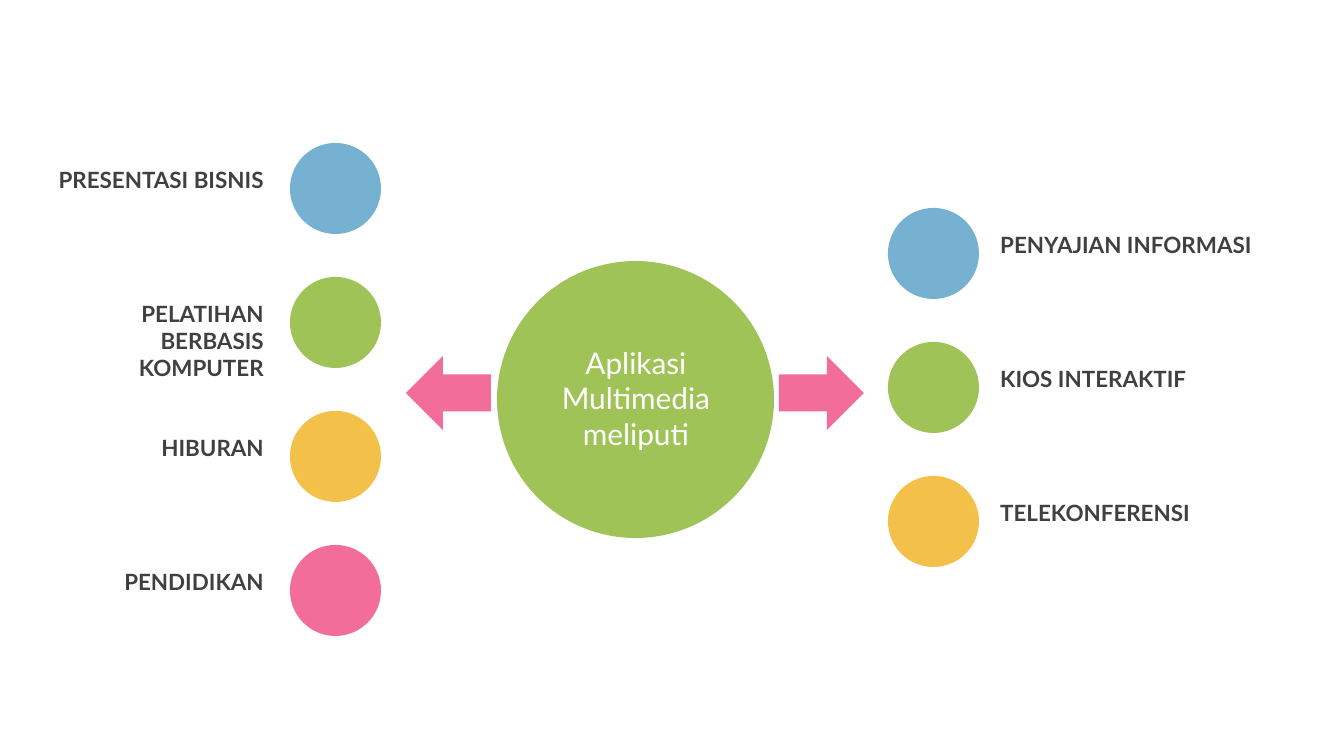
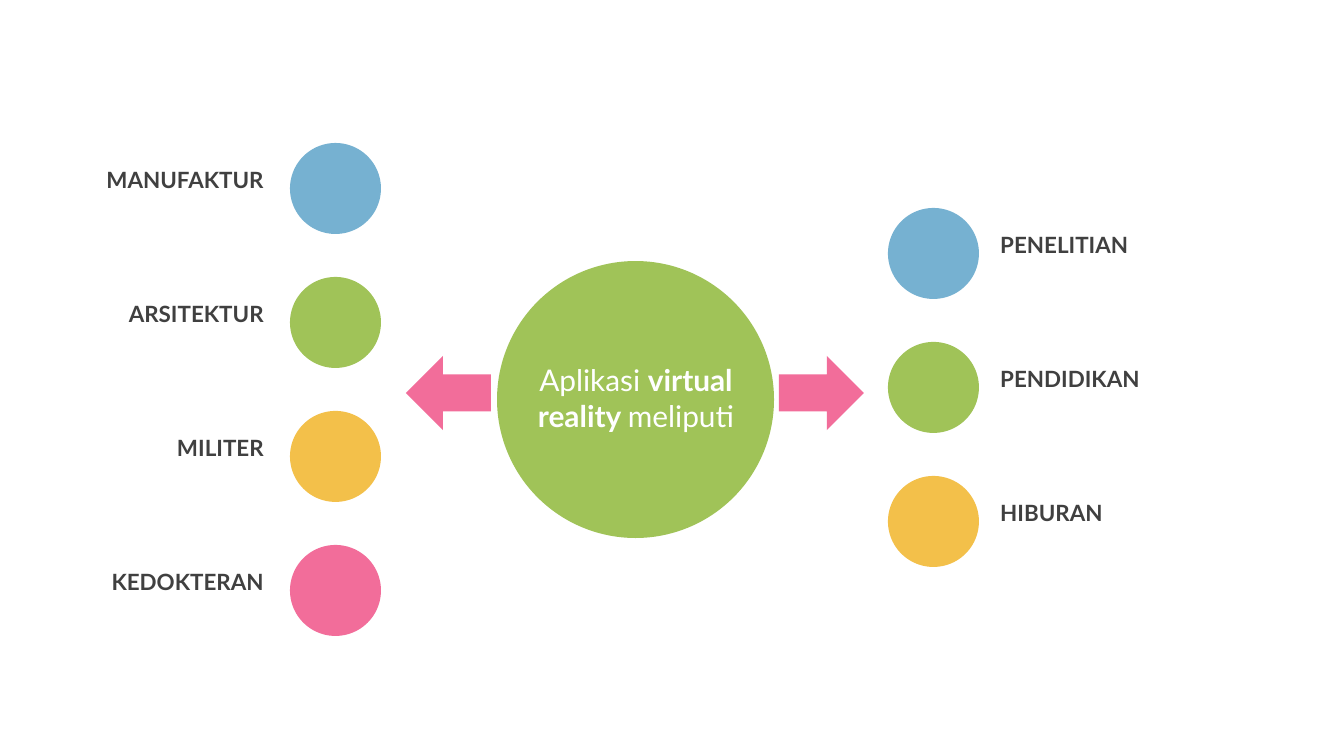
from pptx import Presentation
from pptx import util as u
from pptx.dml.color import RGBColor
from pptx.enum import shapes, text

SCALE = 914400 / 134.4
FONT = "Lato"
WHITE = RGBColor(0xFF, 0xFF, 0xFF)
GRAY = RGBColor(0x40, 0x40, 0x40)
BLUE = RGBColor(0x76, 0xB1, 0xD1)
GREEN = RGBColor(0xA0, 0xC3, 0x58)
YELLOW = RGBColor(0xF3, 0xC0, 0x4A)
PINK = RGBColor(0xF2, 0x6D, 0x9A)
BULLET_COLORS = (BLUE, GREEN, YELLOW, PINK)

HUB = (497, 261, 277, 277)
LEFT_ARROW = (406, 356, 85, 74)
RIGHT_ARROW = (779, 356, 85, 74)
LEFT_COLUMN = (290, 143)
RIGHT_COLUMN = (888, 208)
BULLET = 91
PITCH = 134
LABEL_WIDTH = 417
NARROW_WIDTH = 250
LABEL_HEIGHT = 40
LABEL_DROP = 17
LABEL_GAP = 13
LABEL_OVERLAP = 8


def px(value):
    return u.Emu(round(value * SCALE))


def add_solid(slide, kind, box, color):
    solid = slide.shapes.add_shape(kind, *map(px, box))
    solid.shadow.inherit = False
    solid.fill.solid()
    solid.fill.fore_color.rgb = color
    solid.line.fill.background()


def add_words(slide, box, pieces, size, color, align):
    words = slide.shapes.add_textbox(*map(px, box))
    frame = words.text_frame
    frame.word_wrap = True
    paragraph = frame.paragraphs[0]
    paragraph.alignment = align
    for wording, bold in pieces:
        run = paragraph.add_run()
        run.text = wording
        run.font.name = FONT
        run.font.size = u.Pt(size)
        run.font.bold = bold
        run.font.color.rgb = color
    return frame


def add_hub(slide, box, title):
    left, top, width, height = box
    add_solid(slide, shapes.MSO_SHAPE.OVAL, box, GREEN)
    title_box = (left + 2, top + 80, width - 3, height - 163)
    frame = add_words(slide, title_box, title, 16, WHITE, text.PP_ALIGN.CENTER)
    frame.vertical_anchor = text.MSO_ANCHOR.MIDDLE


def add_column(slide, origin, labels, on_left):
    left, first_top = origin
    align = text.PP_ALIGN.RIGHT if on_left else text.PP_ALIGN.LEFT
    for row, (label, color) in enumerate(zip(labels, BULLET_COLORS)):
        top = first_top + row * PITCH
        add_solid(slide, shapes.MSO_SHAPE.OVAL, (left, top, BULLET, BULLET), color)
        width = NARROW_WIDTH if on_left and row == 1 else LABEL_WIDTH
        label_left = left - LABEL_GAP - width if on_left else left + BULLET + LABEL_OVERLAP
        label_box = (label_left, top + LABEL_DROP, width, LABEL_HEIGHT)
        frame = add_words(slide, label_box, [(label, True)], 12, GRAY, align)
        frame.auto_size = text.MSO_AUTO_SIZE.SHAPE_TO_FIT_TEXT


def add_applications_slide(deck, title, left_labels, right_labels):
    slide = deck.slides.add_slide(deck.slide_layouts[6])
    add_hub(slide, HUB, title)
    add_solid(slide, shapes.MSO_SHAPE.RIGHT_ARROW, RIGHT_ARROW, PINK)
    add_column(slide, RIGHT_COLUMN, right_labels, False)
    add_solid(slide, shapes.MSO_SHAPE.LEFT_ARROW, LEFT_ARROW, PINK)
    add_column(slide, LEFT_COLUMN, left_labels, True)


deck = Presentation()
deck.slide_width = px(1344)
deck.slide_height = px(756)
add_applications_slide(
    deck,
    [("Aplikasi Multimedia meliputi", False)],
    ["PRESENTASI BISNIS", "PELATIHAN BERBASIS KOMPUTER", "HIBURAN", "PENDIDIKAN"],
    ["PENYAJIAN INFORMASI", "KIOS INTERAKTIF", "TELEKONFERENSI"],
)
add_applications_slide(
    deck,
    [("Aplikasi ", False), ("virtual reality ", True), ("meliputi", False)],
    ["MANUFAKTUR", "ARSITEKTUR", "MILITER", "KEDOKTERAN"],
    ["PENELITIAN", "PENDIDIKAN", "HIBURAN"],
)
deck.save("out.pptx")
